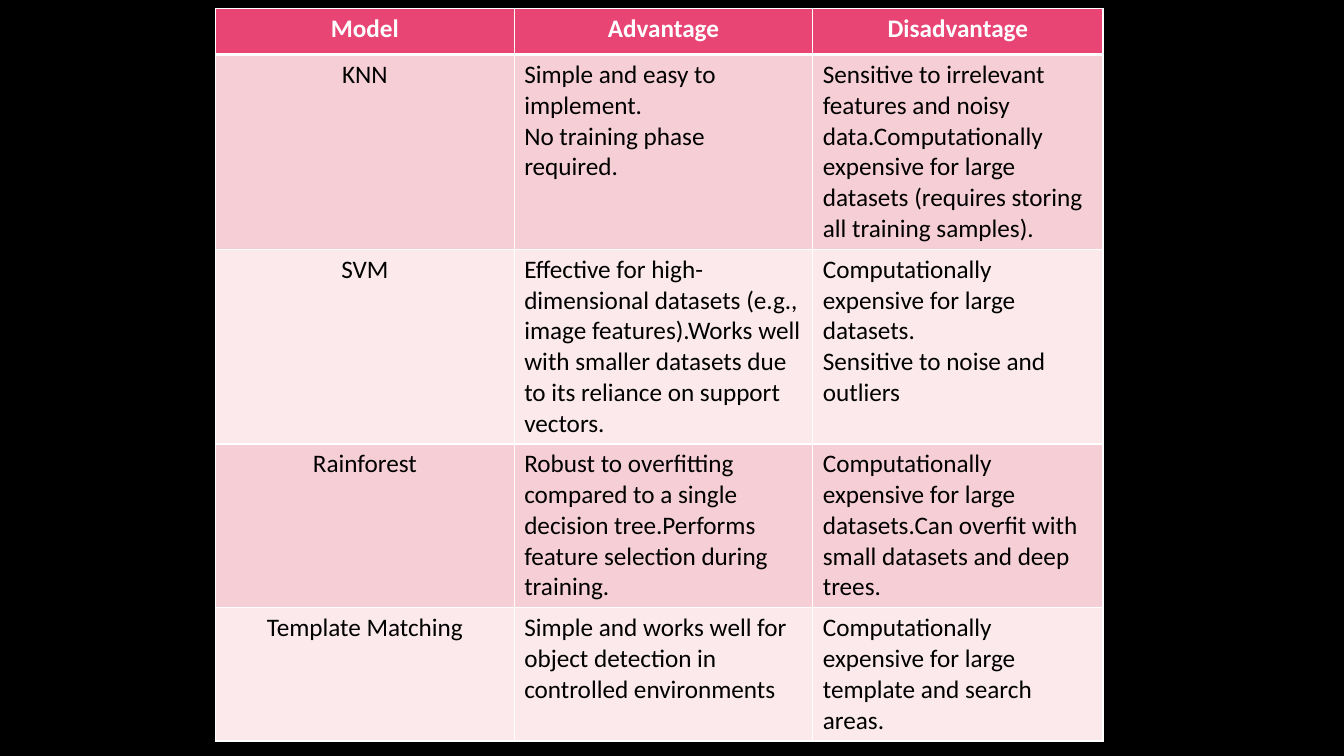
from typing import NamedTuple

from lxml import etree
from pptx import Presentation
from pptx.dml.color import RGBColor
from pptx.enum.text import PP_ALIGN
from pptx.oxml.ns import qn
from pptx.table import Table, _Cell
from pptx.util import Pt

CENTER, LEFT = PP_ALIGN.CENTER, PP_ALIGN.LEFT
FONT, SIZE = "Calibri", 18
COLORS = {
    "back": "000000",
    "head": "E84574",
    "odd": "F6CFD6",
    "even": "FBE9EB",
    "rule": "FFFFFF",
    "title": "FFFFFF",
    "body": "000000",
}
WIDTHS = (213.3, 213.3, 207.3)


class Row(NamedTuple):
    height: float
    model: str
    pro: str
    con: str


ROWS = (
    Row(33, "Model", "Advantage", "Disadvantage"),
    Row(132.5, "KNN",
        "Simple and easy to implement.\nNo training phase required.",
        "Sensitive to irrelevant features and noisy data.Computationally "
        "expensive for large datasets (requires storing all training samples)."),
    Row(132.5, "SVM",
        "Effective for high-dimensional datasets (e.g., image features).Works "
        "well with smaller datasets due to its reliance on support vectors.",
        "Computationally expensive for large datasets.\n"
        "Sensitive to noise and outliers"),
    Row(111.5, "Rainforest",
        "Robust to overfitting compared to a single decision tree.Performs "
        "feature selection during training.",
        "Computationally expensive for large datasets.Can overfit with small "
        "datasets and deep trees."),
    Row(90.7, "Template Matching",
        "Simple and works well for object detection in controlled environments",
        "Computationally expensive for large template and search areas."),
)


def color(name: str) -> RGBColor:
    return RGBColor.from_string(COLORS[name])


def add_rules(cell: _Cell, top: float, bottom: float) -> None:
    """Draw the four borders; call before the cell is filled."""
    props = cell._tc.get_or_add_tcPr()
    for tag, width in (("lnL", 1), ("lnR", 1), ("lnT", top), ("lnB", bottom)):
        line = etree.SubElement(props, qn(f"a:{tag}"), w=str(Pt(width)))
        fill = etree.SubElement(line, qn("a:solidFill"))
        etree.SubElement(fill, qn("a:srgbClr"), val=COLORS["rule"])


def fill_cell(cell: _Cell, text: str, row: int, col: int) -> None:
    head = row == 0
    add_rules(cell, 3 if row == 1 else 1, 3 if head else 1)
    cell.fill.solid()
    cell.fill.fore_color.rgb = color("head" if head else "odd" if row % 2 else "even")
    cell.text_frame.text = text
    for para in cell.text_frame.paragraphs:
        para.alignment = CENTER if head or col == 0 else LEFT
        for run in para.runs:
            run.font.name = FONT
            run.font.size = Pt(SIZE)
            run.font.bold = head
            run.font.color.rgb = color("title" if head else "body")


def fill_table(table: Table) -> None:
    for column, width in zip(table.columns, WIDTHS):
        column.width = Pt(width)
    for i, row in enumerate(ROWS):
        table.rows[i].height = Pt(row.height)
        for j, text in enumerate((row.model, row.pro, row.con)):
            fill_cell(table.cell(i, j), text, i, j)


def main() -> None:
    deck = Presentation()
    deck.slide_width, deck.slide_height = Pt(960), Pt(540)
    slide = deck.slides.add_slide(deck.slide_layouts[6])
    slide.background.fill.solid()
    slide.background.fill.fore_color.rgb = color("back")
    height = sum(row.height for row in ROWS)
    frame = slide.shapes.add_table(
        len(ROWS), len(WIDTHS), Pt(154), Pt(6), Pt(sum(WIDTHS)), Pt(height))
    fill_table(frame.table)
    deck.save("out.pptx")


if __name__ == "__main__":
    main()
